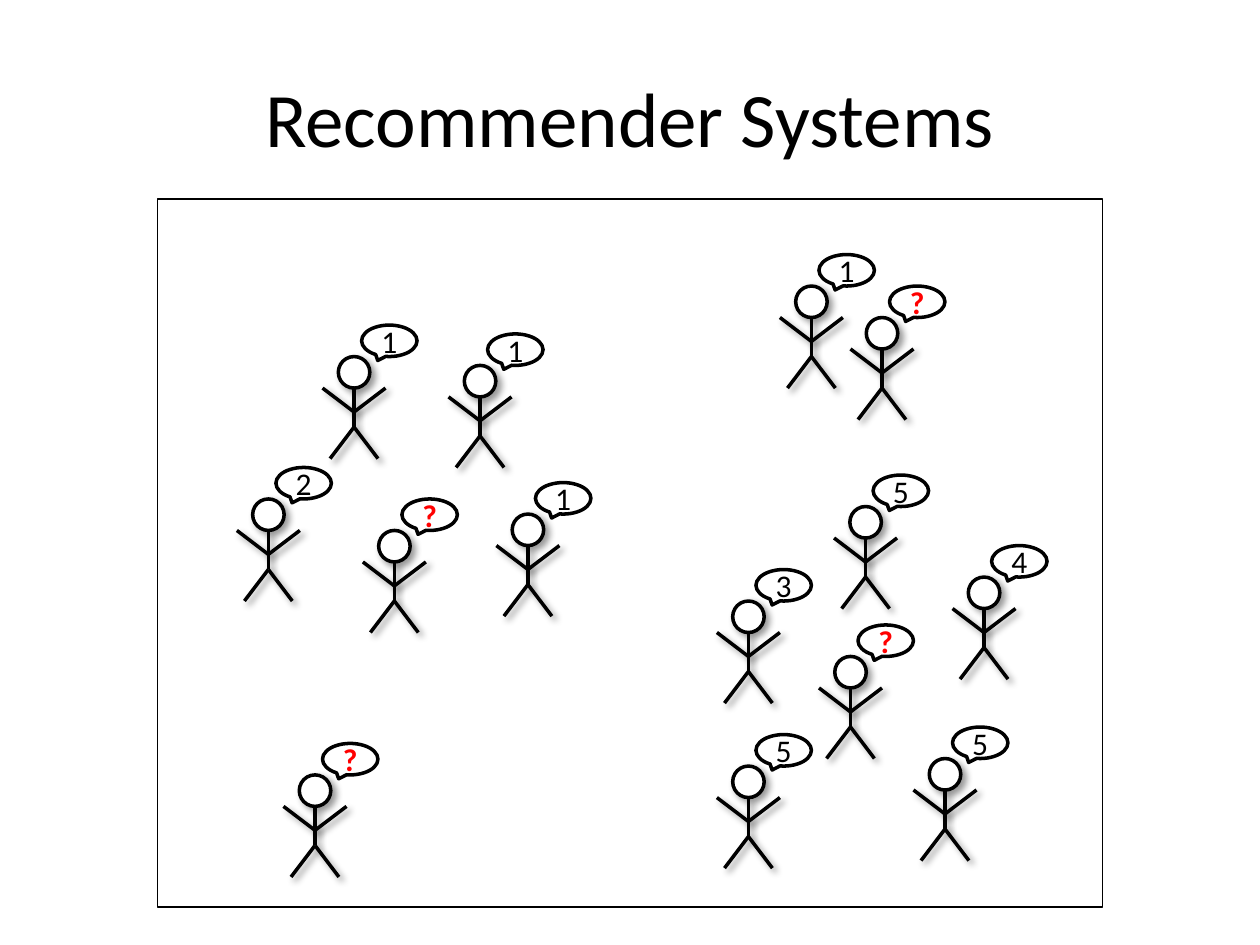
from dataclasses import dataclass

from lxml import etree
from pptx import Presentation
from pptx import util as u
from pptx.dml.color import RGBColor
from pptx.enum import shapes, text
from pptx.oxml import ns

Inches = u.Inches


@dataclass(frozen=True)
class Theme:
    font: str = "Calibri"
    ink: RGBColor = RGBColor(0, 0, 0)
    paper: RGBColor = RGBColor(255, 255, 255)
    unknown: RGBColor = RGBColor(255, 0, 0)
    title_size: u.Pt = u.Pt(44)
    rating_size: u.Pt = u.Pt(18)
    frame_line: u.Pt = u.Pt(1)
    figure_line: u.Pt = u.Pt(2)


THEME = Theme()

TITLE_BOX = (0.5, 0.3, 9, 1.25)
FRAME_BOX = (1.25, 1.58, 7.5, 5.62)
PERSON_SIZE = (0.75, 1.06)

# Left, top and rating of each person
PEOPLE = [
    (7.56, 4.33, "4"), (2.56, 2.58, "1"), (3.56, 2.65, "1"),
    (1.88, 3.71, "2"), (7.25, 5.77, "5"), (6.5, 4.96, "?"),
    (5.69, 5.83, "5"), (5.69, 4.52, "3"), (3.94, 3.83, "1"),
    (6.62, 3.77, "5"), (2.88, 3.96, "?"), (2.25, 5.9, "?"),
    (6.19, 2.02, "1"), (6.75, 2.27, "?"),
]


def set_values(target, values):
    for name, value in values.items():
        setattr(target, name, value)


def set_line(shape, width):
    shape.line.color.rgb = THEME.ink
    shape.line.width = width


def write(shape, words, **font_values):
    """Centre one line of text in a shape."""
    frame = shape.text_frame
    set_values(frame, {"vertical_anchor": text.MSO_ANCHOR.MIDDLE, "word_wrap": False,
                       "margin_left": 0, "margin_right": 0,
                       "margin_top": 0, "margin_bottom": 0})
    paragraph = frame.paragraphs[0]
    paragraph.alignment = text.PP_ALIGN.CENTER
    run = paragraph.add_run()
    run.text = words
    color = font_values.pop("color", THEME.ink)
    set_values(run.font, {"name": THEME.font, **font_values})
    run.font.color.rgb = color


def add_shadow(shape):
    """Soft shadow falling down and to the right."""
    properties = shape.element.spPr
    for old in properties.findall(ns.qn("a:effectLst")):
        properties.remove(old)
    effects = etree.SubElement(properties, ns.qn("a:effectLst"))
    shadow = etree.SubElement(effects, ns.qn("a:outerShdw"), blurRad=str(u.Pt(4)),
                              dist=str(u.Pt(3)), dir="2700000", algn="tl", rotWithShape="0")
    color = etree.SubElement(shadow, ns.qn("a:srgbClr"), val=str(THEME.ink))
    etree.SubElement(color, ns.qn("a:alpha"), val="40000")


def add_outlined(parent, kind, box, width):
    shape = parent.add_shape(kind, *map(Inches, box))
    shape.shadow.inherit = False
    shape.fill.solid()
    shape.fill.fore_color.rgb = THEME.paper
    set_line(shape, width)
    return shape


def add_title(slide, box, words):
    title = slide.shapes.add_textbox(*map(Inches, box))
    write(title, words, size=THEME.title_size)
    title.text_frame.word_wrap = True


def add_frame(slide, box):
    frame = add_outlined(slide.shapes, shapes.MSO_SHAPE.RECTANGLE, box, THEME.frame_line)
    frame.fill.background()


def add_person(slide, box, rating):
    """Stick figure with a rating in a speech bubble at its upper right."""
    left, top, width, height = box
    parts = slide.shapes.add_group_shape().shapes
    center = left + width / 3
    shoulder, hip, foot = top + 0.5, top + 0.81, top + height
    chest = top + 0.69

    # Head
    head = add_outlined(parts, shapes.MSO_SHAPE.OVAL,
                        (center - 0.125, top + 0.25, 0.25, 0.25), THEME.figure_line)
    add_shadow(head)

    # Body, legs and arms
    limbs = [
        (center, shoulder, center, hip),
        (center, hip, center - 0.19, foot),
        (center, hip, center + 0.19, foot),
        (center + 0.25, shoulder, center, chest),
        (center - 0.25, shoulder, center, chest),
    ]
    for ends in limbs:
        limb = parts.add_connector(shapes.MSO_CONNECTOR.STRAIGHT, *map(Inches, ends))
        set_line(limb, THEME.figure_line)
        add_shadow(limb)

    # Speech bubble
    bubble = add_outlined(parts, shapes.MSO_SHAPE.OVAL_CALLOUT,
                          (left + width - 0.44, top, 0.44, 0.25), THEME.figure_line)
    unknown = rating == "?"
    write(bubble, rating, size=THEME.rating_size, bold=unknown,
          color=THEME.unknown if unknown else THEME.ink)


def main():
    presentation = Presentation()
    set_values(presentation, {"slide_width": Inches(10), "slide_height": Inches(7.5)})
    slide = presentation.slides.add_slide(presentation.slide_layouts[6])

    add_frame(slide, FRAME_BOX)
    for left, top, rating in PEOPLE:
        add_person(slide, (left, top, *PERSON_SIZE), rating)
    add_title(slide, TITLE_BOX, "Recommender Systems")

    presentation.save("out.pptx")


if __name__ == "__main__":
    main()
